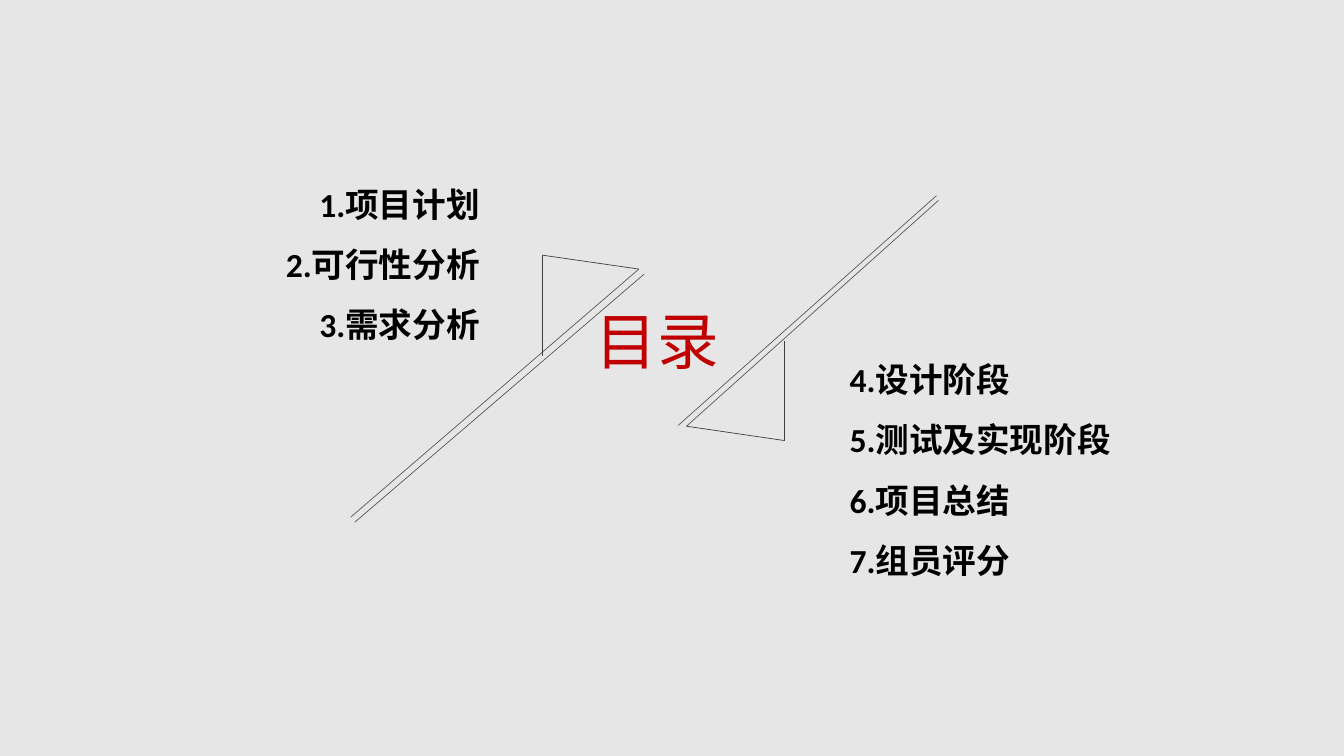
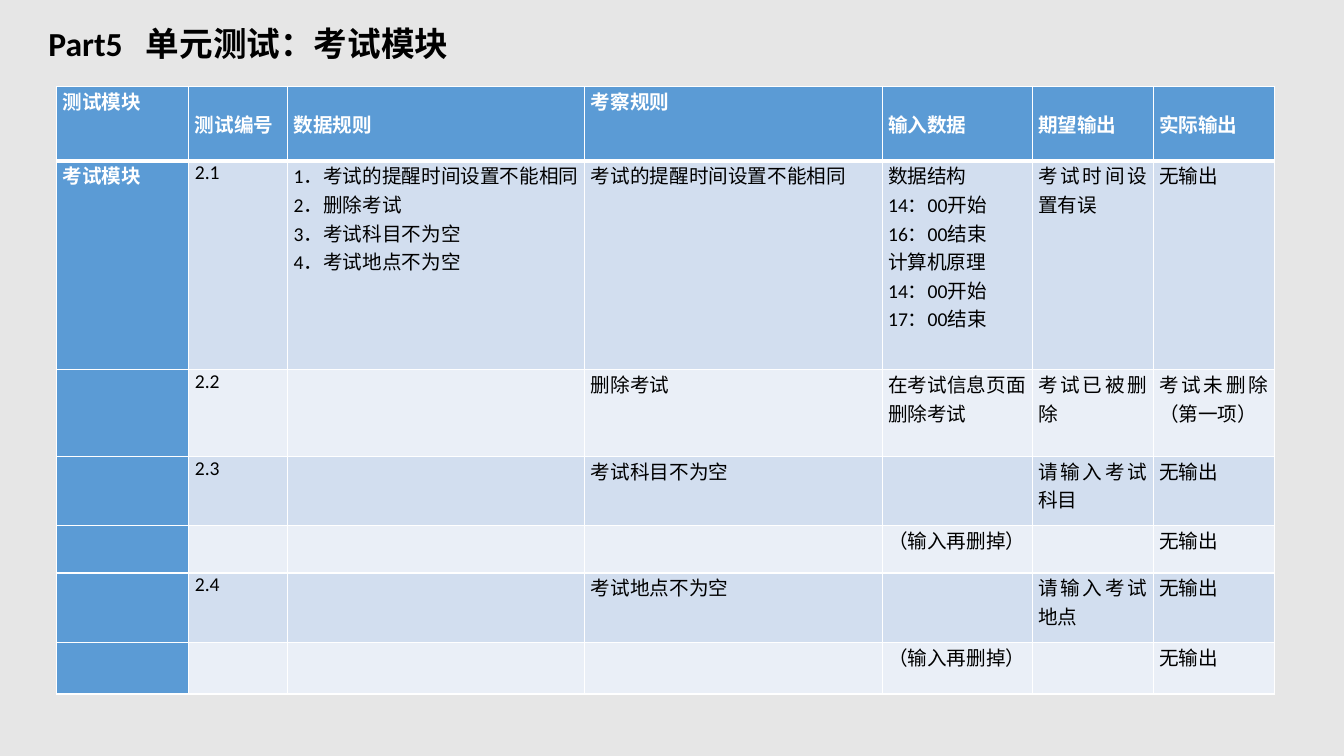
from lxml.etree import SubElement
from pptx import Presentation
from pptx.dml.color import RGBColor
from pptx.enum.shapes import MSO_CONNECTOR
from pptx.enum.text import MSO_ANCHOR, PP_ALIGN
from pptx.oxml.ns import qn
from pptx.util import Cm, Pt

COLORS = {
    "background": "E6E6E6", "title": "C00000", "text": "000000", "white": "FFFFFF",
    "rail": "595959", "hook": "404040",
    "header": "5B9BD5", "band_dark": "D2DEEF", "band_light": "EAEFF7",
}
LATIN, SERIF, CJK = "Calibri", "Times New Roman", "Noto Sans CJK SC"

COLUMNS = [3.33, 2.49, 7.49, 7.49, 3.78, 3.05, 3.05]
ROWS = [1.88, 5.26, 2.18, 1.75, 1.19, 1.75, 1.3]
NO_OUTPUT = "无输出"
TEST_CASES = [
    ["测试模块", "测试编号", "数据规则", "考察规则", "输入数据", "期望输出", "实际输出"],
    ["考试模块", "2.1",
     "1．考试的提醒时间设置不能相同\n2．删除考试\n3．考试科目不为空\n4．考试地点不为空",
     "考试的提醒时间设置不能相同",
     "数据结构\n14：00开始\n16：00结束\n计算机原理\n14：00开始\n17：00结束",
     "考试时间设置有误", NO_OUTPUT],
    ["", "2.2", "", "删除考试", "在考试信息页面删除考试", "考试已被删除", "考试未删除（第一项）"],
    ["", "2.3", "", "考试科目不为空", "", "请输入考试科目", NO_OUTPUT],
    ["", "", "", "", "（输入再删掉）", "", NO_OUTPUT],
    ["", "2.4", "", "考试地点不为空", "", "请输入考试地点", NO_OUTPUT],
    ["", "", "", "", "（输入再删掉）", "", NO_OUTPUT],
]


def rgb(name):
    return RGBColor.from_string(COLORS[name])


def style_runs(tf, size, color="text", bold=False, face=LATIN):
    for p in tf.paragraphs:
        for r in p.runs:
            r.font.size, r.font.bold, r.font.name = Pt(size), bold, face
            r.font.color.rgb = rgb(color)
            SubElement(r.font._element, qn("a:ea"), typeface=CJK)


def add_text(s, box, text, size=24, color="text", bold=True, face=LATIN,
             align=PP_ALIGN.LEFT, spacing=1.0, tab=None):
    tf = s.shapes.add_textbox(*[Cm(v) for v in box]).text_frame
    tf.word_wrap = True
    tf.text = text
    for p in tf.paragraphs:
        p.alignment, p.line_spacing = align, spacing
        if tab:
            tabs = SubElement(p._p.get_or_add_pPr(), qn("a:tabLst"))
            SubElement(tabs, qn("a:tab"), pos=str(Cm(tab)), algn="l")
    style_runs(tf, size, color, bold, face)


def add_line(s, start, end, color):
    c = s.shapes.add_connector(MSO_CONNECTOR.STRAIGHT, *[Cm(v) for v in (*start, *end)])
    c.line.color.rgb, c.line.width = rgb(color), Pt(0.5)
    SubElement(c._element.spPr, qn("a:effectLst"))


def add_arrow_outline(s, tip, arm, hook, rail):
    """Long arm and bent hook from the tip, with a rail beside the arm."""
    def at(offset):
        return tip[0] + offset[0], tip[1] + offset[1]

    add_line(s, at(arm), tip, "rail")
    add_line(s, tip, at(hook[0]), "hook")
    add_line(s, at(hook[0]), at(hook[1]), "hook")
    add_line(s, at(rail[0]), at(rail[1]), "rail")


def set_borders(cell, bottom):
    tc_pr = cell._tc.get_or_add_tcPr()
    for side, width in (("L", 1), ("R", 1), ("T", 1), ("B", bottom)):
        ln = SubElement(tc_pr, qn(f"a:ln{side}"), w=str(Pt(width)))
        fill = SubElement(ln, qn("a:solidFill"))
        SubElement(fill, qn("a:srgbClr"), val=COLORS["white"])


def fill_cell(cell, text, row, col):
    heading = row == 0 or col == 0
    set_borders(cell, 3 if row == 0 else 1)
    cell.fill.solid()
    band = "band_dark" if row % 2 else "band_light"
    cell.fill.fore_color.rgb = rgb("header" if heading else band)
    cell.margin_left = cell.margin_right = Cm(0.15)
    cell.margin_top = cell.margin_bottom = 0
    centred = row == 0 and col not in (0, 3)
    cell.vertical_anchor = MSO_ANCHOR.MIDDLE if centred else MSO_ANCHOR.TOP
    tf = cell.text_frame
    tf.text = text
    for p in tf.paragraphs:
        p.alignment = PP_ALIGN.LEFT if row == 0 and col < 2 else PP_ALIGN.JUSTIFY
    style_runs(tf, 14, "white" if heading else "text", heading,
               SERIF if text == NO_OUTPUT else LATIN)


def add_test_table(s, x, y):
    frame = s.shapes.add_table(len(ROWS), len(COLUMNS), Cm(x), Cm(y),
                               Cm(sum(COLUMNS)), Cm(sum(ROWS)))
    table = frame.table
    table.horz_banding = False
    for column, width in zip(table.columns, COLUMNS):
        column.width = Cm(width)
    for row, height in zip(table.rows, ROWS):
        row.height = Cm(height)
    for i, values in enumerate(TEST_CASES):
        for j, text in enumerate(values):
            fill_cell(table.cell(i, j), text, i, j)


def build_contents(s):
    # Heading
    add_text(s, (14.76, 7.52, 3.76, 2.11), "目录", 44, "title", False, CJK)
    # Two facing arrow outlines
    add_arrow_outline(s, (16.1, 6.78), (-7.26, 6.25),
                      [(-2.43, -0.35), (-2.43, 2.19)], [(-7.16, 6.38), (0.13, 0.13)])
    add_arrow_outline(s, (17.3, 10.74), (6.35, -5.69),
                      [(2.46, 0.36), (2.46, -2.15)], [(6.3, -5.81), (-0.21, -0.02)])
    # Chapter lists
    add_text(s, (5.94, 3.99, 6.4, 4.88), "1.项目计划\n2.可行性分析\n3.需求分析",
             align=PP_ALIGN.RIGHT, spacing=1.5)
    add_text(s, (21.16, 8.41, 7.52, 6.25),
             "4.设计阶段\n5.测试及实现阶段\n6.项目总结\n7.组员评分", spacing=1.5)


def build_unit_test(s):
    add_text(s, (0.97, 0.46, 30.35, 1.3), "Part5\t单元测试：考试模块", tab=2.46)
    add_test_table(s, 1.43, 2.18)


def main():
    prs = Presentation()
    prs.slide_width, prs.slide_height = Cm(33.87), Cm(19.05)
    background = prs.slide_master.background.fill
    background.solid()
    background.fore_color.rgb = rgb("background")
    for build in (build_contents, build_unit_test):
        build(prs.slides.add_slide(prs.slide_layouts[6]))
    prs.save("out.pptx")


if __name__ == "__main__":
    main()
